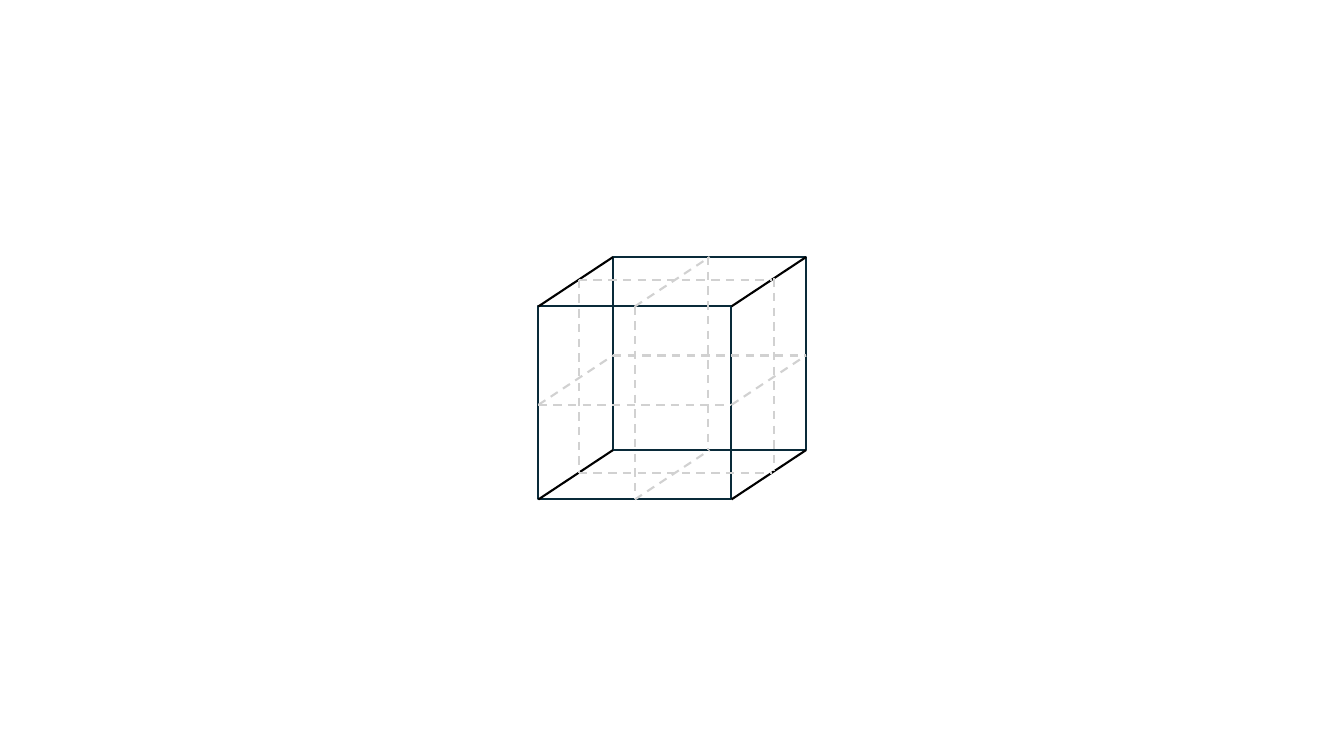
from dataclasses import dataclass

from lxml.etree import SubElement
from pptx import Presentation
from pptx.dml.color import RGBColor
from pptx.enum.dml import MSO_LINE
from pptx.enum.shapes import MSO_CONNECTOR, MSO_SHAPE
from pptx.oxml.ns import qn
from pptx.util import Inches, Pt


@dataclass(frozen=True)
class Theme:
    face: str = "092A39"
    edge: str = "000000"
    section: str = "D1D1D1"
    line_width: float = 1.5


THEME = Theme()

# Cube points are (across, down, depth), each a share of the cube's size.
FRONT, BACK = 0, 1
LEVEL = 0.51
BACK_UPRIGHT = 0.49
SLICE_LEFT, SLICE_RIGHT = 0.54, 0.57
DEPTH_EDGES = [
    ((across, down, FRONT), (across, down, BACK))
    for across, down in [(0, 0), (1, 0), (1, 1), (0, 1)]
]
SECTION_LINES = [
    # Level section
    ((0, LEVEL, FRONT), (0, LEVEL, BACK)),
    ((0, LEVEL, BACK), (1, LEVEL, BACK)),
    ((1, LEVEL, FRONT), (1, LEVEL, BACK)),
    ((0, LEVEL, FRONT), (1, LEVEL, FRONT)),
    # Upright section from front to back
    ((0.5, 0, FRONT), (0.5, 1, FRONT)),
    ((0.5, 0, FRONT), (0.5, 0, BACK)),
    ((BACK_UPRIGHT, 0, BACK), (BACK_UPRIGHT, 1, BACK)),
    ((0.5, 1, FRONT), (0.5, 1, BACK)),
    # Upright section from left to right
    ((0, 0, SLICE_LEFT), (1, 0, SLICE_LEFT)),
    ((1, 0, SLICE_RIGHT), (1, 1, SLICE_RIGHT)),
    ((0, 0, SLICE_LEFT), (0, 1, SLICE_LEFT)),
    ((0, 1, SLICE_LEFT), (1, 1, SLICE_LEFT)),
]
SIDE_MIDDLES = {(0.5, 0): 0, (0, 0.5): 1, (0.5, 1): 2, (1, 0.5): 3}

SLIDE_WIDTH, SLIDE_HEIGHT = 13.33, 7.5
CUBE_LEFT, CUBE_TOP = 5.34, 3.04
CUBE_SIZE = 1.915
DEPTH_RIGHT, DEPTH_UP = 0.74, 0.49


def project(point):
    """Return the slide position of a cube point."""
    across, down, depth = point
    return (
        Inches(CUBE_LEFT + across * CUBE_SIZE + depth * DEPTH_RIGHT),
        Inches(CUBE_TOP + down * CUBE_SIZE - depth * DEPTH_UP),
    )


def format_line(line, color, dash=None):
    line.color.rgb = RGBColor.from_string(color)
    line.width = Pt(THEME.line_width)
    if dash:
        line.dash_style = dash


def add_face(group, depth):
    left, top = project((0, 0, depth))
    face = group.shapes.add_shape(
        MSO_SHAPE.RECTANGLE, left, top, Inches(CUBE_SIZE), Inches(CUBE_SIZE)
    )
    face.shadow.inherit = False
    face.fill.background()
    format_line(face.line, THEME.face)
    return face


def add_edge(group, faces, start, end, color, dash=None):
    """Draw a line between cube points, joined to faces at side middles."""
    edge = group.shapes.add_connector(
        MSO_CONNECTOR.STRAIGHT, *project(start), *project(end)
    )
    SubElement(edge._element.spPr, qn("a:effectLst"))
    format_line(edge.line, color, dash)
    for point, connect in [(start, edge.begin_connect), (end, edge.end_connect)]:
        side = SIDE_MIDDLES.get(point[:2])
        if side is not None and point[2] in faces:
            connect(faces[point[2]], side)


def main():
    presentation = Presentation()
    presentation.slide_width = Inches(SLIDE_WIDTH)
    presentation.slide_height = Inches(SLIDE_HEIGHT)
    slide = presentation.slides.add_slide(presentation.slide_layouts[6])
    cube = slide.shapes.add_group_shape()
    faces = {depth: add_face(cube, depth) for depth in (FRONT, BACK)}
    for start, end in DEPTH_EDGES:
        add_edge(cube, faces, start, end, THEME.edge)
    for start, end in SECTION_LINES:
        add_edge(cube, faces, start, end, THEME.section, MSO_LINE.DASH)
    presentation.save("out.pptx")


if __name__ == "__main__":
    main()
